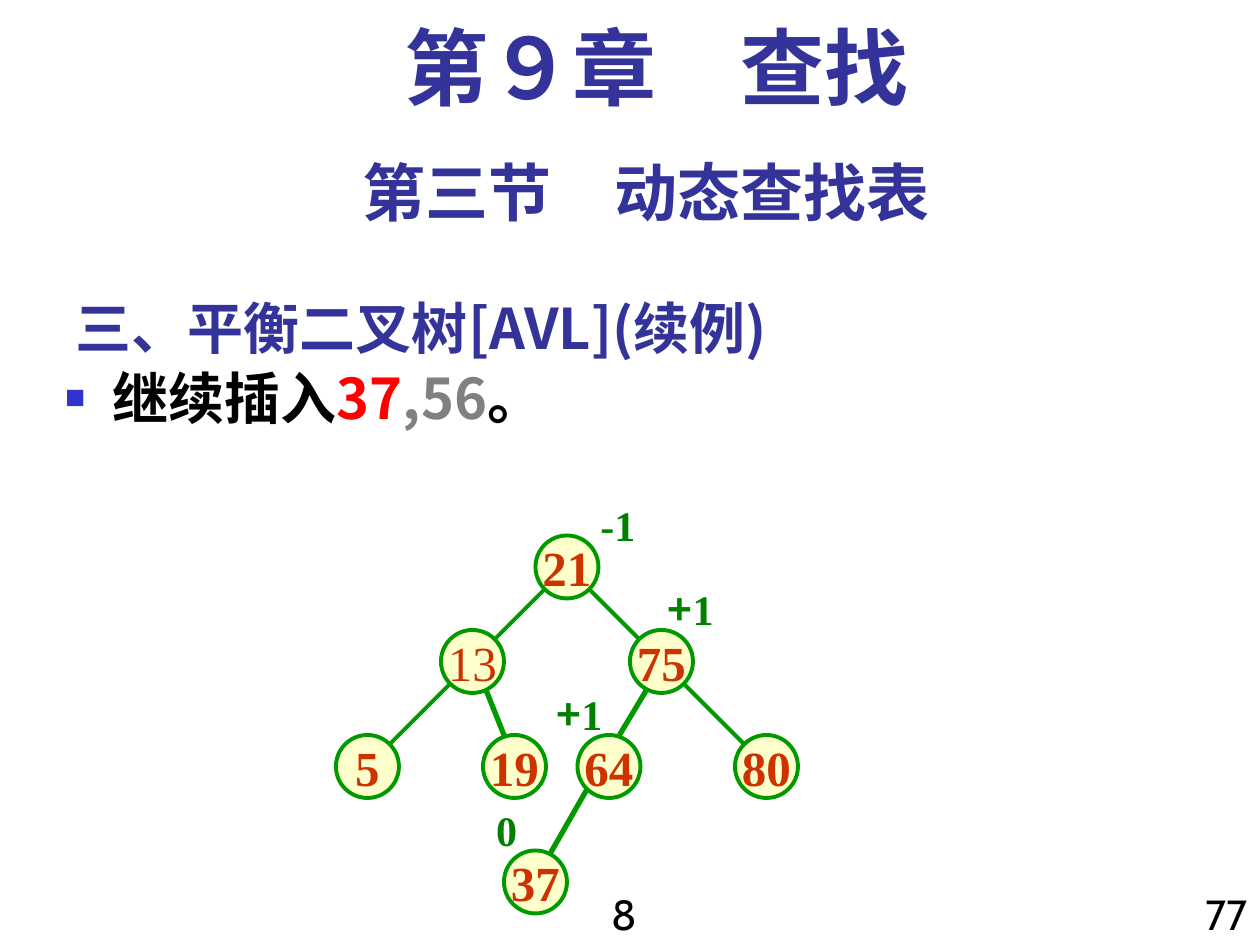
from lxml.etree import SubElement
from pptx import Presentation
from pptx.dml.color import RGBColor
from pptx.enum.shapes import MSO_CONNECTOR as Connector, MSO_SHAPE as Shape
from pptx.enum.text import MSO_ANCHOR as Anchor, MSO_AUTO_SIZE as Fit, PP_ALIGN as Align
from pptx.oxml.ns import qn
from pptx.util import Pt

SANS, SERIF, CABIN = "Noto Sans CJK SC", "Times New Roman", "Cabin"
NAVY, BLACK, GREEN, RUST = "333399", "000000", "008000", "CC3300"
EDGE, NODE = "009900", "FFFFCC"


def paint(target, color):
    """Give a fill, or the fill of a line or font, one solid colour."""
    target.solid()
    target.fore_color.rgb = RGBColor.from_string(color)


def write(frame, runs, size, frame_format, align=Align.LEFT):
    """Format a text frame and fill its first paragraph with runs."""
    for key, value in frame_format.items():
        setattr(frame, key, value)
    paragraph = frame.paragraphs[0]
    paragraph.alignment = align
    paragraph.space_before = Pt(0)
    for text, face, color, bold in runs:
        run = paragraph.add_run()
        run.text = text
        for key, value in {"size": Pt(size), "name": face, "bold": bold}.items():
            setattr(run.font, key, value)
        paint(run.font.fill, color)
        SubElement(run.font._element, qn("a:ea"), typeface=SANS)
    return paragraph


prs = Presentation()
prs.slide_width, prs.slide_height = Pt(720), Pt(540)
slide = prs.slides.add_slide(prs.slide_layouts[1])
heading, body = slide.placeholders

# Section heading and list, in the template's placeholders
for holder, box in ((heading, (36, 156, 558, 54)), (body, (30, 204, 690, 336))):
    holder.left, holder.top, holder.width, holder.height = map(Pt, box)
write(heading.text_frame, [("三、平衡二叉树[AVL](续例)", SANS, NAVY, True)], 32,
      {"vertical_anchor": Anchor.BOTTOM, "auto_size": Fit.NONE})
insertion = write(
    body.text_frame,
    [("继续插入", SANS, BLACK, True), ("37", SANS, "FF0000", True),
     (",56", SANS, "808080", True), ("。", SANS, BLACK, True)],
    32, {"vertical_anchor": Anchor.TOP, "auto_size": Fit.NONE})

# Square bullet with a hanging indent
bullet = insertion._p.get_or_add_pPr()
bullet.set("marL", str(Pt(27)))
bullet.set("indent", str(Pt(-27)))
SubElement(SubElement(bullet, qn("a:buClr")), qn("a:srgbClr"), val="3333CC")
SubElement(bullet, qn("a:buSzPct"), val="60000")
SubElement(bullet, qn("a:buChar"), char="■")

# Chapter and section titles, page numbers
for text, box, size, face, color, bold, align, spacing in (
    ("第９章　查找", (48, 12, 654, 60), 48, SERIF, NAVY, True, Align.CENTER, 0.9),
    ("第三节　动态查找表", (36, 84, 666, 50), 36, CABIN, NAVY, True, Align.CENTER, 1.0),
    ("8", (336, 504, 42, 36), 24, CABIN, BLACK, False, Align.CENTER, 1.0),
    ("77", (672, 504, 48, 42), 24, CABIN, BLACK, False, Align.RIGHT, 1.0),
):
    caption = slide.shapes.add_textbox(*map(Pt, box))
    line = write(caption.text_frame, [(text, face, color, bold)], size,
                 {"word_wrap": True}, align)
    line.line_spacing = spacing

# Tree edges
tree = slide.shapes.add_group_shape().shapes
for ends, weight in (
    ((336, 336, 378, 378), 2.25),  # 21 - 75
    ((312, 336, 276, 372), 2.25),  # 21 - 13
    ((264, 384, 210, 438), 2.25),  # 13 - 5
    ((276, 390, 288, 420), 3),     # 13 - 19
    ((372, 390, 354, 420), 3),     # 75 - 64
    ((390, 390, 432, 432), 2.25),  # 75 - 80
    ((336, 450, 312, 492), 3),     # 64 - 37
):
    edge = tree.add_connector(Connector.STRAIGHT, *map(Pt, ends))
    edge.line.width = Pt(weight)
    paint(edge.line.fill, EDGE)
    SubElement(edge._element.spPr, qn("a:effectLst"))

# Tree nodes
for key, left, top in (
    ("21", 306, 306), ("13", 252, 360), ("75", 360, 360), ("5", 192, 420),
    ("19", 276, 420), ("64", 330, 420), ("80", 420, 420), ("37", 288, 486),
):
    node = tree.add_shape(Shape.OVAL, Pt(left), Pt(top), Pt(36), Pt(36))
    node.shadow.inherit = False
    paint(node.fill, NODE)
    paint(node.line.fill, EDGE)
    node.line.width = Pt(2.25)
    write(node.text_frame, [(key, SERIF, RUST, key != "13")], 28,
          {"word_wrap": False, "vertical_anchor": Anchor.MIDDLE}, Align.CENTER)

# Balance factors, in boxes a little wider than their text
for sign, digits, left, top, width in (
    ("", "-1", 336, 282, 36), ("+", "1", 374.5, 330, 44),
    ("+", "1", 311, 390, 44), ("", "0", 276.5, 456, 28),
):
    factor = tree.add_textbox(Pt(left), Pt(top), Pt(width), Pt(36))
    runs = [(sign, SANS, GREEN, True), (digits, SERIF, GREEN, True)]
    write(factor.text_frame, [run for run in runs if run[0]], 24,
          {"word_wrap": False, "auto_size": Fit.NONE})

prs.save("out.pptx")
